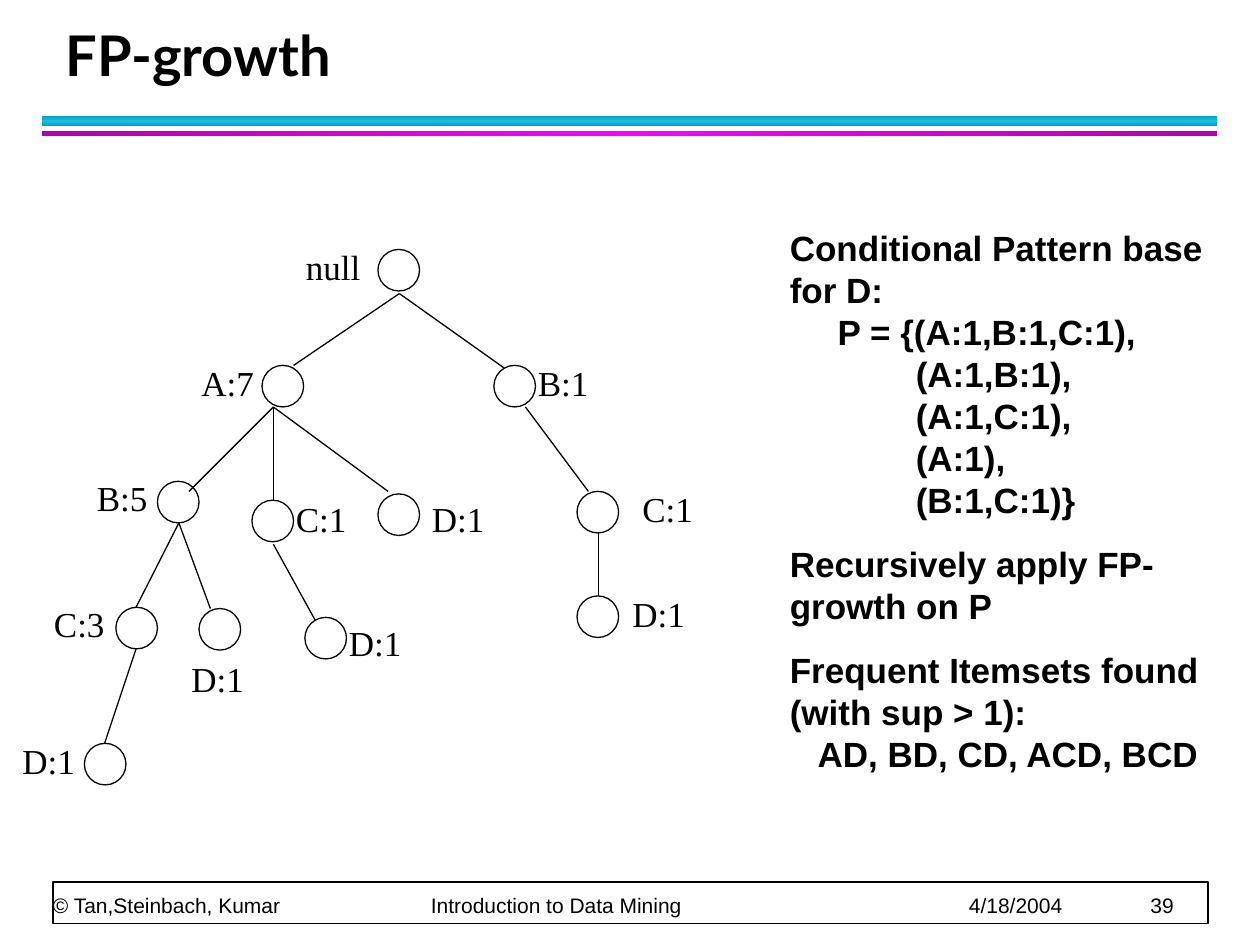
from copy import deepcopy

from pptx import Presentation
from pptx.dml.color import RGBColor
from pptx.enum.shapes import MSO_CONNECTOR, MSO_SHAPE
from pptx.enum.text import MSO_ANCHOR, MSO_AUTO_SIZE, PP_ALIGN
from pptx.oxml.ns import qn
from pptx.util import Inches, Pt

COLORS = {
    "ink": "000000", "paper": "FFFFFF",
    "cyan": "12C2E9", "dark cyan": "0E9BBA",
    "magenta": "FF00FF", "dark magenta": "B200B2",
}

# Content
TITLE = "FP-growth"
FOOTER = ["© Tan,Steinbach, Kumar", "Introduction to Data Mining", "4/18/2004", "39"]
FOOTER_TABS = [3.0, 7.27, 8.71]

# Rule: top, height, edge colour, middle colour, gradient angle
RULES = [
    (0.92, 0.08, "dark cyan", "cyan", 90),
    (1.04, 0.04, "dark magenta", "magenta", 0),
]

# Tree node: label, circle left and top, label left and top
NODES = [
    ("null", 3.0, 1.98, 2.33, 1.9),
    ("A:7", 2.08, 2.9, 1.5, 2.82),
    ("B:1", 3.92, 2.9, 4.17, 2.82),
    ("B:5", 1.25, 3.82, 0.67, 3.73),
    ("C:1", 2.0, 3.97, 2.25, 3.9),
    ("D:1", 3.0, 3.92, 3.33, 3.9),
    ("C:1", 4.58, 3.9, 5.0, 3.82),
    ("C:3", 0.92, 4.82, 0.33, 4.73),
    ("D:1", 1.58, 4.83, 1.42, 5.17),
    ("D:1", 2.42, 4.9, 2.67, 4.88),
    ("D:1", 4.58, 4.73, 4.92, 4.65),
    ("D:1", 0.67, 5.9, 0.08, 5.82),
]
# Branches: point under a parent, points at its children
BRANCHES = [
    ((3.17, 2.33), [(2.33, 2.9), (4.0, 2.92)]),
    ((2.17, 3.23), [(1.5, 3.9), (2.17, 3.98), (3.08, 3.9)]),
    ((4.17, 3.23), [(4.67, 3.9)]),
    ((1.42, 4.15), [(1.08, 4.82), (1.67, 4.83)]),
    ((2.17, 4.32), [(2.5, 4.92)]),
    ((4.75, 4.23), [(4.75, 4.73)]),
    ((1.08, 5.15), [(0.83, 5.9)]),
]
# Notes: text, left indent in inches, space before in points
NOTES = [
    ("Conditional Pattern base for D:", 0, 0),
    ("P = {(A:1,B:1,C:1),", 0.38, 0),
    ("(A:1,B:1),", 1.0, 0),
    ("(A:1,C:1),", 1.0, 0),
    ("(A:1),", 1.0, 0),
    ("(B:1,C:1)}", 1.0, 0),
    ("Recursively apply FP-growth on P", 0, 12.5),
    ("Frequent Itemsets found (with sup > 1):", 0, 12.5),
    ("AD, BD, CD, ACD, BCD", 0.22, 0),
]

NODE_SIZE = 0.33
LABEL_SIZE = (0.67, 0.44)
TITLE_FONT = {"name": "Lato", "size": Pt(32), "bold": True}
LABEL_FONT = {"name": "Times New Roman", "size": Pt(20)}
NOTE_FONT = {"name": "Arial", "size": Pt(20), "bold": True}
FOOTER_FONT = {"name": "Arial", "size": Pt(12)}


def color(name):
    return RGBColor.from_string(COLORS[name])


def style(paragraph, values):
    for name, value in values.items():
        setattr(paragraph.font, name, value)
    paragraph.font.color.rgb = color("ink")


def add_shape(page, kind, *place):
    shape = page.shapes.add_shape(kind, *map(Inches, place))
    shape.shadow.inherit = False
    return shape


def outline(shape, width):
    shape.line.color.rgb = color("ink")
    shape.line.width = Pt(width)


def add_text(page, text, place, values):
    box = page.shapes.add_textbox(*map(Inches, place))
    box.text_frame.word_wrap = True
    paragraph = box.text_frame.paragraphs[0]
    paragraph.text = text
    style(paragraph, values)
    return box


def add_rule(page, top, height, edge, middle, angle):
    rule = add_shape(page, MSO_SHAPE.RECTANGLE, 0.33, top, 9.33, height)
    rule.line.fill.background()
    rule.fill.gradient()
    rule.fill.gradient_angle = angle
    stop_list = next(rule._element.iter(qn("a:gsLst")))
    stop_list.append(deepcopy(stop_list[0]))
    for stop, position, name in zip(rule.fill.gradient_stops, (0, 0.5, 1), (edge, middle, edge)):
        stop.position = position
        stop.color.rgb = color(name)


def add_footer(page):
    frame = add_shape(page, MSO_SHAPE.RECTANGLE, 0.42, 7, 9.17, 0.33)
    frame.fill.solid()
    frame.fill.fore_color.rgb = color("paper")
    outline(frame, 1)
    box = add_text(page, "", (0.42, 6.72, 9.15, 0.56), {})
    text = box.text_frame
    for side in ("left", "top", "right", "bottom"):
        setattr(text, f"margin_{side}", 0)
    text.vertical_anchor = MSO_ANCHOR.BOTTOM
    paragraph = text.paragraphs[0]
    paragraph.text = "\t".join(FOOTER)
    paragraph.line_spacing = Pt(20)
    properties = paragraph._p.get_or_add_pPr()
    for old in properties.findall(qn("a:defRPr")):
        properties.remove(old)
    tabs = properties.makeelement(qn("a:tabLst"), {})
    properties.append(tabs)
    for position in FOOTER_TABS:
        tabs.append(tabs.makeelement(qn("a:tab"), {"pos": str(Inches(position)), "algn": "l"}))
    style(paragraph, FOOTER_FONT)


def add_title(page):
    title = page.shapes.title
    title.left, title.top, title.width, title.height = map(Inches, (0.42, 0.17, 9.06, 0.58))
    text = title.text_frame
    text.text = TITLE
    text.auto_size = MSO_AUTO_SIZE.NONE
    text.vertical_anchor = MSO_ANCHOR.BOTTOM
    paragraph = text.paragraphs[0]
    paragraph.alignment = PP_ALIGN.LEFT
    paragraph.line_spacing = Pt(36)
    style(paragraph, TITLE_FONT)


def add_tree(page):
    for label, left, top, label_left, label_top in NODES:
        node = add_shape(page, MSO_SHAPE.OVAL, left, top, NODE_SIZE, NODE_SIZE)
        node.fill.background()
        outline(node, 0.75)
        add_text(page, label, (label_left, label_top, *LABEL_SIZE), LABEL_FONT)
    for parent, children in BRANCHES:
        for child in children:
            ends = map(Inches, (*parent, *child))
            branch = page.shapes.add_connector(MSO_CONNECTOR.STRAIGHT, *ends)
            outline(branch, 0.75)
            properties = branch._element.spPr
            properties.append(properties.makeelement(qn("a:effectLst"), {}))


def add_notes(page):
    box = add_text(page, "", (6.17, 1.75, 3.67, 4.45), NOTE_FONT)
    text = box.text_frame
    for index, (words, indent, space) in enumerate(NOTES):
        paragraph = text.add_paragraph() if index else text.paragraphs[0]
        paragraph.text = words
        paragraph.space_before = Pt(space)
        paragraph._p.get_or_add_pPr().set("marL", str(Inches(indent)))
        style(paragraph, NOTE_FONT)


def main():
    deck = Presentation()
    deck.slide_width, deck.slide_height = Inches(10), Inches(7.5)
    page = deck.slides.add_slide(deck.slide_layouts[5])
    for rule in RULES:
        add_rule(page, *rule)
    add_footer(page)
    add_title(page)
    add_tree(page)
    add_notes(page)
    deck.save("out.pptx")


if __name__ == "__main__":
    main()
